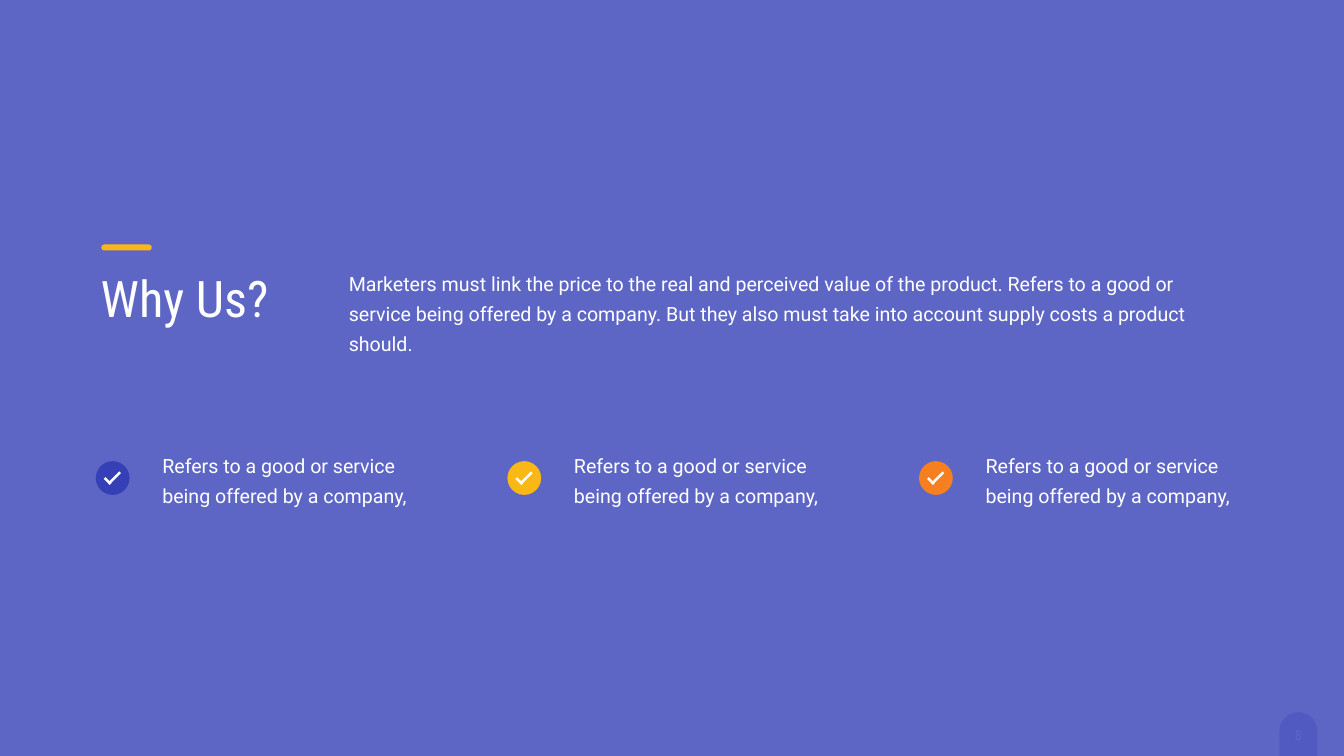
import pptx
import pptx.util
import pptx.dml.color
import pptx.enum.shapes
import pptx.enum.text
import pptx.oxml.ns
import lxml.etree

Inches = pptx.util.Inches
Pt = pptx.util.Pt
SHAPE = pptx.enum.shapes.MSO_SHAPE
ALIGN = pptx.enum.text.PP_ALIGN

COLORS = {
    "paper": "FEFFFE",
    "indigo": "3540B6",
    "yellow": "FAB817",
    "orange": "F68020",
    "white": "FFFFFF",
}
BODY_FONT = {"name": "Roboto", "size": Pt(28)}
TITLE_FONT = {"name": "Roboto Condensed", "size": Pt(72)}
NUMBER_FONT = {"name": "Roboto Condensed", "size": Pt(20)}
BODY_PARAGRAPH = {"line_spacing": Pt(43)}
NUMBER_PARAGRAPH = {"alignment": ALIGN.CENTER}
BODY_MARGINS = (0.24, 0.12)
TITLE_MARGINS = (0.1, 0.05)


def rgb(color):
    return pptx.dml.color.RGBColor.from_string(COLORS[color])


def set_attributes(target, values):
    for name, value in values.items():
        setattr(target, name, value)


def add_block(s, kind, box, color, rotation=0, opacity=100):
    sp = s.shapes.add_shape(kind, *map(Inches, box))
    sp.shadow.inherit = False
    sp.rotation = rotation
    sp.line.fill.background()
    sp.fill.solid()
    sp.fill.fore_color.rgb = rgb(color)
    if kind == SHAPE.ROUNDED_RECTANGLE:
        sp.adjustments[0] = 0.5
    if opacity < 100:
        clr = sp.fill._xPr.find(".//" + pptx.oxml.ns.qn("a:srgbClr"))
        alpha = lxml.etree.SubElement(clr, pptx.oxml.ns.qn("a:alpha"))
        alpha.set("val", str(opacity * 1000))
    return sp


def add_text(s, box, text, font, paragraph, margins):
    tf = s.shapes.add_textbox(*map(Inches, box)).text_frame
    side, edge = map(Inches, margins)
    set_attributes(tf, {
        "word_wrap": True,
        "margin_left": side, "margin_right": side,
        "margin_top": edge, "margin_bottom": edge,
    })
    p = tf.paragraphs[0]
    set_attributes(p, paragraph)
    r = p.add_run()
    r.text = text
    set_attributes(r.font, font)
    r.font.color.rgb = rgb("white")


def add_page_tab(s, box, number):
    x, y, w, h = box
    add_block(s, SHAPE.ROUNDED_RECTANGLE, box, "indigo", 90, 30)
    add_text(s, (x + w / 2 - 0.4, y - 0.3, 0.8, 0.4), number,
             NUMBER_FONT, NUMBER_PARAGRAPH, TITLE_MARGINS)


def add_header(s, box, title, text):
    x, y, w, h = box
    add_block(s, SHAPE.ROUNDED_RECTANGLE, (x + 0.11, y, 1, 0.12), "yellow")
    add_text(s, (x, y + 0.4, 6.28, 1.31), title, TITLE_FONT, {}, TITLE_MARGINS)
    add_text(s, (x + 4.78, y + 0.3, w - 4.78, h - 0.3), text,
             BODY_FONT, BODY_PARAGRAPH, BODY_MARGINS)


def add_benefit(s, box, color, text):
    x, y, w, h = box
    add_text(s, (x + 1.08, y, w - 1.08, h), text,
             BODY_FONT, BODY_PARAGRAPH, BODY_MARGINS)
    add_block(s, SHAPE.OVAL, (x, y + 0.39, 0.67, 0.67), color)
    add_block(s, SHAPE.RECTANGLE, (x + 0.15, y + 0.76, 0.17, 0.05), "white", 45)
    add_block(s, SHAPE.RECTANGLE, (x + 0.21, y + 0.7, 0.32, 0.05), "white", 315)


def add_benefits(s, box, colors, text):
    x, y, w, h = box
    item_width = 6.53
    step = (w - item_width) / (len(colors) - 1)
    for i, color in enumerate(colors):
        add_benefit(s, (x + i * step, y, item_width, h), color, text)


def main():
    prs = pptx.Presentation()
    prs.slide_width, prs.slide_height = Inches(26.66), Inches(15)
    s = prs.slides.add_slide(prs.slide_layouts[6])
    s.background.fill.solid()
    s.background.fill.fore_color.rgb = rgb("paper")

    add_page_tab(s, (24.85, 14.66, 1.81, 0.75), "8")
    add_block(s, SHAPE.RECTANGLE, (0, 0, 26.66, 15.02), "indigo", 180, 80)
    add_benefits(s, (1.9, 8.76, 22.86, 1.39), ("indigo", "yellow", "orange"),
                 "Refers to a good or service being offered by a company,")
    add_header(s, (1.9, 4.85, 22.66, 2.3), "Why Us?",
               "Marketers must link the price to the real and perceived value "
               "of the product. Refers to a good or service being offered by a "
               "company. But they also must take into account supply costs a "
               "product should.")
    prs.save("out.pptx")


if __name__ == "__main__":
    main()
